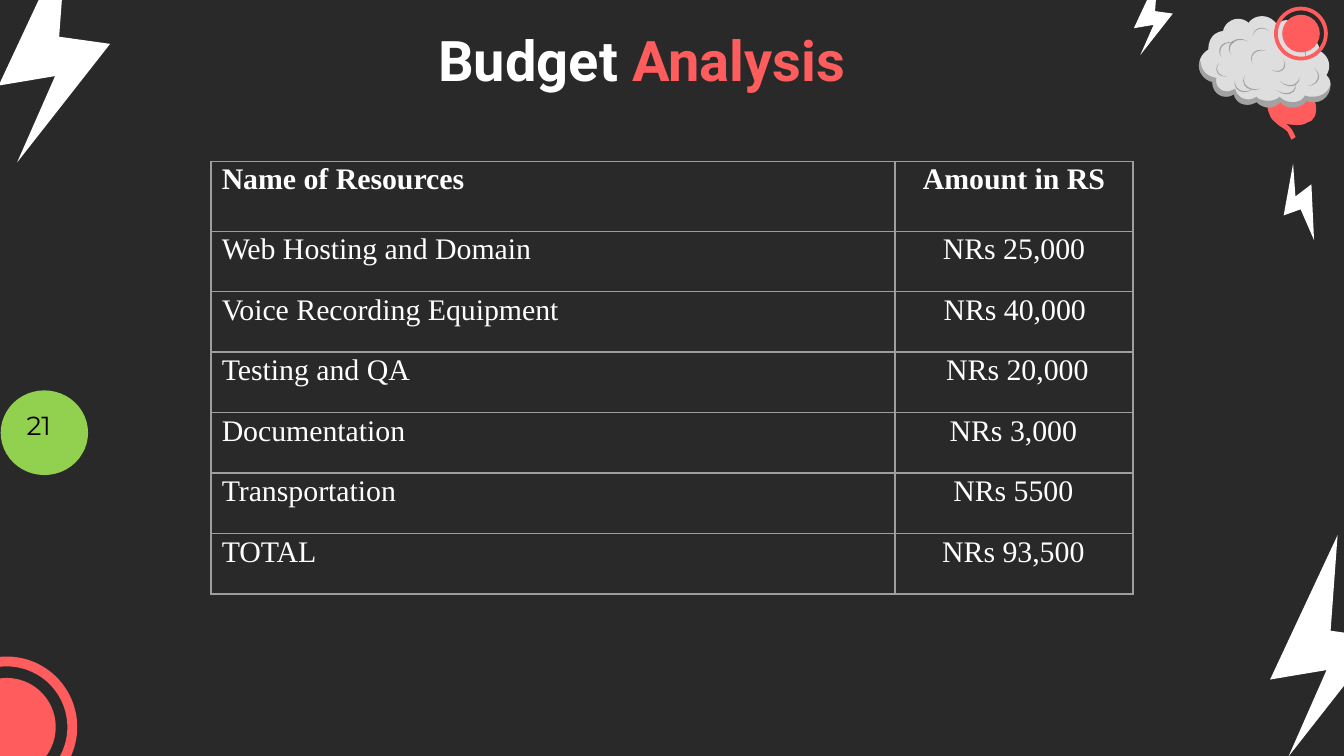
from dataclasses import dataclass

from lxml.etree import SubElement
from pptx import Presentation
from pptx.dml.color import RGBColor
from pptx.enum.shapes import MSO_SHAPE as Shape
from pptx.enum.text import PP_ALIGN as Align
from pptx.oxml.ns import qn
from pptx.util import Inches, Pt


@dataclass(frozen=True)
class Theme:
    background: str = "292929"
    white: str = "FFFFFF"
    coral: str = "FF5D5D"
    green: str = "92D050"
    brain: str = "DEDEDE"
    shade: str = "191919"
    border: str = "9E9E9E"
    black: str = "000000"
    title_size: float = 30
    table_size: float = 16
    number_size: float = 14


@dataclass(frozen=True)
class Bolt:
    left: float
    top: float
    scale: float
    rotation: float


@dataclass(frozen=True)
class Target:
    """A disc inside a ring, both about one centre."""
    x: float
    y: float
    disc: float
    ring: float


@dataclass(frozen=True)
class Cost:
    name: str
    amount: str
    indent: float = 0


T = Theme()
SLIDE_WIDTH = 10
BOLTS = [Bolt(8.29, -0.02, 0.35, 311.2), Bolt(9.44, 1.36, 0.35, 103.4),
         Bolt(-0.43, -0.02, 1, 311.2), Bolt(9.03, 4.4, 1, 311.2)]
BOLT_POINTS = [(1.48, 0), (0.34, 0.33), (0.67, 0.6), (0, 0.81), (1.12, 0.75), (0.91, 0.43)]
TARGETS = [Target(9.68, 0.25, 0.28, 0.4), Target(0.05, 5.41, 0.73, 1.05)]
COSTS = [
    Cost("Name of Resources", "Amount in RS", 0.01),
    Cost("Web Hosting and Domain", "NRs 25,000", 0.01),
    Cost("Voice Recording Equipment", "NRs 40,000", 0.02),
    Cost("Testing and QA", "NRs 20,000", 0.06),
    Cost("Documentation", "NRs 3,000"),
    Cost("Transportation", "NRs 5500"),
    Cost("TOTAL", "NRs 93,500"),
]

# Outlines: a start point, then cubic segments (two controls and an end) or line ends.
STEM = [(9.48, 0.77), (9.48, 0.8, 9.49, 0.82, 9.5, 0.84), (9.51, 0.86, 9.52, 0.88, 9.54, 0.9),
        (9.56, 0.91, 9.58, 0.93, 9.6, 0.95), (9.62, 0.97, 9.63, 1, 9.64, 1.02), (9.61, 1.04),
        (9.6, 1.02, 9.59, 1, 9.58, 0.98), (9.55, 0.95, 9.52, 0.94, 9.5, 0.92),
        (9.48, 0.9, 9.46, 0.89, 9.45, 0.86), (9.44, 0.84, 9.43, 0.81, 9.43, 0.78)]
CEREBELLUM = [(9.78, 0.74), (9.78, 0.74, 9.84, 0.89, 9.71, 0.92),
              (9.69, 0.93, 9.67, 0.93, 9.65, 0.93), (9.6, 0.93, 9.55, 0.92, 9.52, 0.9),
              (9.48, 0.87, 9.46, 0.82, 9.46, 0.76)]
UPPER_RIGHT = [(9.44, 0.12, 9.48, 0.15, 9.5, 0.18), (9.52, 0.17, 9.54, 0.15, 9.57, 0.15),
               (9.63, 0.15, 9.67, 0.2, 9.68, 0.25), (9.76, 0.25, 9.81, 0.3, 9.82, 0.38),
               (9.86, 0.4, 9.89, 0.44, 9.89, 0.49), (9.89, 0.52, 9.88, 0.54, 9.87, 0.56),
               (9.89, 0.58, 9.9, 0.6, 9.9, 0.63)]
LOWER = [(9.9, 0.7, 9.85, 0.76, 9.78, 0.76), (9.76, 0.76, 9.74, 0.76, 9.72, 0.75),
         (9.7, 0.78, 9.66, 0.8, 9.62, 0.8), (9.58, 0.8, 9.55, 0.79, 9.53, 0.76),
         (9.5, 0.78, 9.48, 0.8, 9.44, 0.8), (9.4, 0.8, 9.37, 0.78, 9.35, 0.76),
         (9.33, 0.77, 9.31, 0.78, 9.28, 0.78), (9.23, 0.78, 9.19, 0.75, 9.18, 0.7),
         (9.17, 0.71, 9.15, 0.72, 9.12, 0.72), (9.07, 0.72, 9.02, 0.68, 9.02, 0.61),
         (8.97, 0.6, 8.92, 0.55, 8.92, 0.49)]
UPPER_LEFT = [(8.92, 0.44, 8.95, 0.39, 8.99, 0.37), (8.99, 0.29, 9.03, 0.24, 9.1, 0.23),
              (9.11, 0.18, 9.16, 0.14, 9.21, 0.14), (9.24, 0.14, 9.27, 0.15, 9.29, 0.17),
              (9.31, 0.14, 9.35, 0.12, 9.39, 0.12)]
RIM_TOP = [(8.92, 0.48, 8.92, 0.46, 8.93, 0.45), (8.94, 0.54, 8.99, 0.57, 9.05, 0.58),
           (9.04, 0.63, 9.07, 0.68, 9.13, 0.68), (9.15, 0.68, 9.17, 0.67, 9.19, 0.66),
           (9.2, 0.71, 9.24, 0.74, 9.29, 0.74), (9.31, 0.74, 9.33, 0.73, 9.35, 0.72),
           (9.36, 0.74, 9.4, 0.75, 9.44, 0.75), (9.47, 0.75, 9.5, 0.74, 9.52, 0.72),
           (9.54, 0.74, 9.57, 0.76, 9.62, 0.76), (9.65, 0.76, 9.69, 0.75, 9.71, 0.71),
           (9.73, 0.72, 9.75, 0.72, 9.77, 0.72), (9.83, 0.72, 9.88, 0.69, 9.9, 0.63)]
FOLDS = [(9.09, 0.43, 9.04, 0.36, 9.1, 0.29, 9.19, 0.32), (9.19, 0.59, 9.16, 0.67, 9.26, 0.72, 9.32, 0.66),
         (9.26, 0.56, 9.22, 0.65, 9.31, 0.69, 9.38, 0.66), (9.64, 0.62, 9.66, 0.7, 9.56, 0.73, 9.5, 0.67),
         (9.67, 0.57, 9.67, 0.65, 9.58, 0.67, 9.52, 0.6), (9.16, 0.41, 9.1, 0.33, 9.2, 0.25, 9.29, 0.31),
         (9.32, 0.48, 9.28, 0.4, 9.35, 0.35, 9.42, 0.38), (9.6, 0.34, 9.68, 0.32, 9.74, 0.37, 9.71, 0.45),
         (9.73, 0.64, 9.81, 0.64, 9.85, 0.56, 9.78, 0.51), (9.32, 0.27, 9.33, 0.2, 9.4, 0.19, 9.44, 0.23),
         (9.55, 0.29, 9.58, 0.25, 9.66, 0.26, 9.66, 0.34), (9.07, 0.47, 9.02, 0.52, 9.07, 0.58, 9.13, 0.57),
         (9.55, 0.44, 9.59, 0.51, 9.53, 0.56, 9.46, 0.52)]


def paint(sp, color: str, alpha: int = 100) -> None:
    sp.shadow.inherit = False
    sp.line.fill.background()
    sp.fill.solid()
    sp.fill.fore_color.rgb = RGBColor.from_string(color)
    if alpha < 100:
        clr = sp.fill._xPr.find(qn("a:solidFill"))[0]
        SubElement(clr, qn("a:alpha")).set("val", str(alpha * 1000))


def add_outline(s, points: list, color: str, alpha: int = 100):
    emu = [(Inches(x), Inches(y)) for x, y in points]
    builder = s.shapes.build_freeform(*emu[0], scale=1.0)
    builder.add_line_segments(emu[1:], close=True)
    sp = builder.convert_to_shape()
    paint(sp, color, alpha)
    return sp


def flatten(outline: list, steps: int = 6) -> list:
    """Turn cubic segments into points along them."""
    points = [outline[0]]
    for seg in outline[1:]:
        if len(seg) == 2:
            points.append(seg)
            continue
        ends = (points[-1], seg[:2], seg[2:4], seg[4:])
        for i in range(1, steps + 1):
            t = i / steps
            weights = ((1 - t) ** 3, 3 * t * (1 - t) ** 2, 3 * t * t * (1 - t), t ** 3)
            points.append(tuple(sum(w * e[k] for w, e in zip(weights, ends)) for k in (0, 1)))
    return points


def add_fold(s, x0, y0, ax, ay, bx, by, x1, y1) -> None:
    """Draw a thin crescent whose inner edge lies nearer the chord."""
    mx, my, pull = (x0 + x1) / 2, (y0 + y1) / 2, 0.15
    inner = [v + (m - v) * pull for v, m in ((bx, mx), (by, my), (ax, mx), (ay, my))]
    crescent = [(x0, y0), (ax, ay, bx, by, x1, y1), (*inner, x0, y0)]
    add_outline(s, flatten(crescent), T.shade, 30)


def add_round(s, kind: Shape, x: float, y: float, w: float, h: float, color: str):
    sp = s.shapes.add_shape(kind, Inches(x - w / 2), Inches(y - h / 2), Inches(w), Inches(h))
    paint(sp, color)
    return sp


def add_target(s, target: Target) -> None:
    add_round(s, Shape.OVAL, target.x, target.y, target.disc, target.disc, T.coral)
    ring = add_round(s, Shape.DONUT, target.x, target.y, target.ring, target.ring, T.coral)
    ring.adjustments[0] = 0.07


def add_bolt(s, bolt: Bolt) -> None:
    points = [(bolt.left + x * bolt.scale, bolt.top + y * bolt.scale) for x, y in BOLT_POINTS]
    add_outline(s, points, T.white).rotation = bolt.rotation


def add_brain(s) -> None:
    for outline in (STEM, CEREBELLUM):
        add_outline(s, flatten(outline), T.coral)
    add_outline(s, flatten([(9.39, 0.12)] + UPPER_RIGHT + LOWER + UPPER_LEFT), T.brain)
    add_outline(s, flatten([(9.9, 0.63)] + LOWER + RIM_TOP), T.shade, 30)
    for fold in FOLDS:
        add_fold(s, *fold)


def write(p, text: str, *, font: str, size: float, color: str, bold: bool = False) -> None:
    r = p.add_run()
    r.text = text
    r.font.name, r.font.size, r.font.bold = font, Pt(size), bold
    r.font.color.rgb = RGBColor.from_string(color)


def add_text_box(s, x: float, y: float, w: float, h: float):
    tf = s.shapes.add_textbox(Inches(x), Inches(y), Inches(w), Inches(h)).text_frame
    tf.word_wrap = True
    return tf


def fill_cell(cell, text: str, align: Align, indent: float, bold: bool) -> None:
    cell.margin_left = cell.margin_top = cell.margin_bottom = 0
    cell.margin_right = Inches(0.01)
    p = cell.text_frame.paragraphs[0]
    p.alignment, p.line_spacing = align, 1.06
    p._p.get_or_add_pPr().set("marL", str(Inches(indent)))
    write(p, text, font="Times New Roman", size=T.table_size, color=T.white, bold=bold)
    for side in ("lnL", "lnR", "lnT", "lnB"):
        ln = SubElement(cell._tc.get_or_add_tcPr(), qn(f"a:{side}"), w=str(Pt(0.75)))
        SubElement(SubElement(ln, qn("a:solidFill")), qn("a:srgbClr"), val=T.border)
    cell.fill.background()


def add_costs(s) -> None:
    table = s.shapes.add_table(len(COSTS), 2, Inches(1.57), Inches(1.2),
                               Inches(6.86), Inches(3.22)).table
    table.first_row = table.horz_banding = False
    for column, width in zip(table.columns, (5.09, 1.77)):
        column.width = Inches(width)
    for i, cost in enumerate(COSTS):
        table.rows[i].height = Inches(0.45 if i else 0.52)
        fill_cell(table.cell(i, 0), cost.name, Align.LEFT, 0.08, i == 0)
        fill_cell(table.cell(i, 1), cost.amount, Align.CENTER, cost.indent, i == 0)


def main() -> None:
    prs = Presentation()
    prs.slide_width, prs.slide_height = Inches(SLIDE_WIDTH), Inches(SLIDE_WIDTH * 9 / 16)
    s = prs.slides.add_slide(prs.slide_layouts[6])
    s.background.fill.solid()
    s.background.fill.fore_color.rgb = RGBColor.from_string(T.background)

    add_round(s, Shape.OVAL, 0.33, 3.22, 0.65, 0.63, T.green)
    add_brain(s)
    for target in TARGETS:
        add_target(s, target)
    for bolt in BOLTS:
        add_bolt(s, bolt)

    tf = add_text_box(s, 0.29, 0.09, 8.97, 0.63)
    tf.margin_left = tf.margin_right = tf.margin_top = tf.margin_bottom = Inches(0.1)
    p = tf.paragraphs[0]
    p.alignment = Align.CENTER
    for text, color in (("Budget ", T.white), ("Analysis", T.coral)):
        write(p, text, font="Roboto", size=T.title_size, color=color, bold=True)

    add_costs(s)
    number = add_text_box(s, 0.1, 3, 0.7, 0.34).paragraphs[0]
    write(number, "21", font="Montserrat", size=T.number_size, color=T.black)
    prs.save("out.pptx")


if __name__ == "__main__":
    main()
